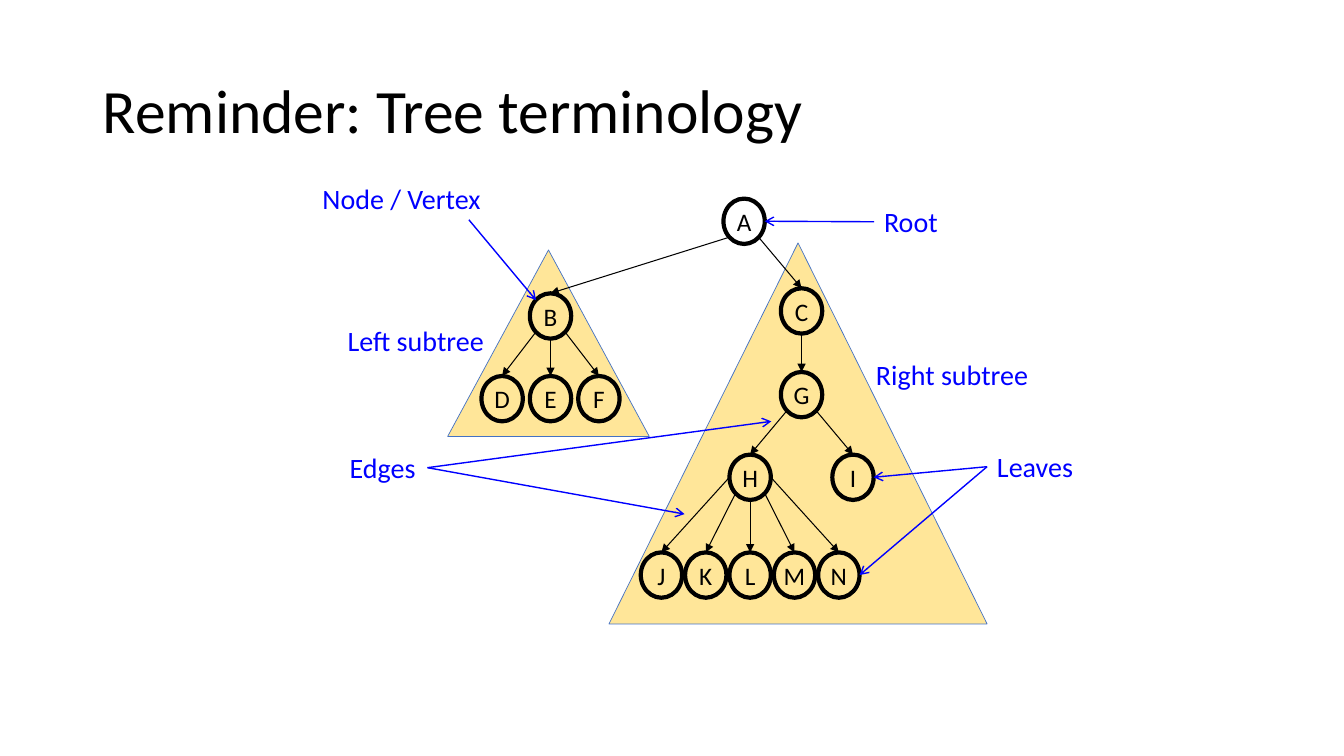
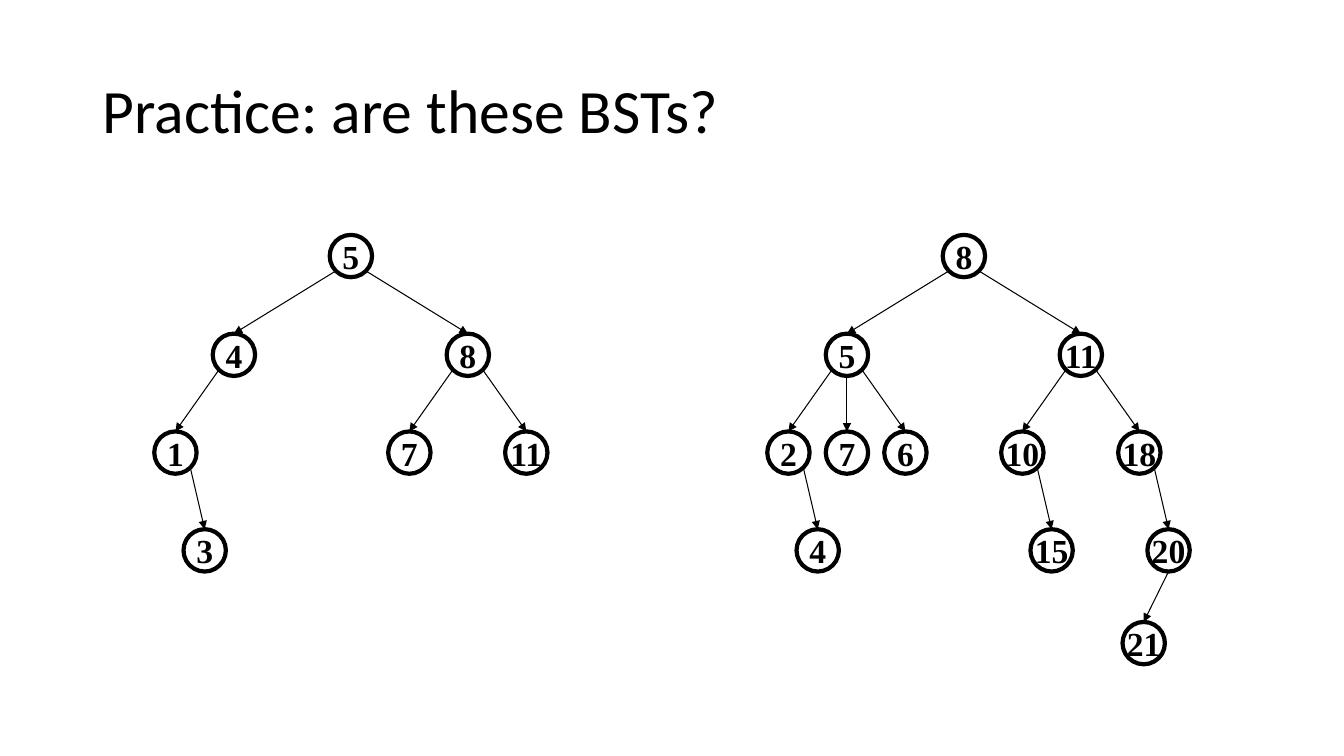
from dataclasses import dataclass

from lxml import etree
from pptx import Presentation
from pptx.dml.color import RGBColor
from pptx.enum.shapes import MSO_CONNECTOR, MSO_SHAPE
from pptx.enum.text import MSO_ANCHOR, MSO_AUTO_SIZE, PP_ALIGN
from pptx.oxml.ns import qn
from pptx.util import Inches, Pt

STRAIGHT = MSO_CONNECTOR.STRAIGHT
OVAL = MSO_SHAPE.OVAL
TRIANGLE = MSO_SHAPE.ISOSCELES_TRIANGLE
MIDDLE = MSO_ANCHOR.MIDDLE
LEFT = PP_ALIGN.LEFT
CENTER = PP_ALIGN.CENTER
NO_FIT = MSO_AUTO_SIZE.NONE
GROW = MSO_AUTO_SIZE.SHAPE_TO_FIT_TEXT

BLACK = RGBColor(0x00, 0x00, 0x00)
BLUE = RGBColor(0x00, 0x00, 0xFF)
SAND = RGBColor(0xFF, 0xE6, 0x99)
STEEL = RGBColor(0x44, 0x72, 0xC4)

TITLE_ONLY = 5
BODY_FONT = "Calibri"
LABEL_HEIGHT = 0.44
LABEL_TOP, LABEL_LEFT, LABEL_RIGHT = 0, 1, 3

# Points on a node's rim, as fractions of its width and height from the centre
SIDE_LEFT, SIDE_RIGHT, BOTTOM = (-0.5, 0), (0.5, 0), (0, 0.5)
LOWER_LEFT, LOWER_RIGHT, UPPER_LEFT = (-0.35, 0.35), (0.35, 0.35), (-0.35, -0.35)


@dataclass
class NodeStyle:
    width: float
    height: float
    font: str
    size: int
    bold: bool


LETTER_NODE = NodeStyle(0.41, 0.45, BODY_FONT, 18, False)
NUMBER_NODE = NodeStyle(0.42, 0.42, "Times New Roman", 24, True)


def format_text(text_frame, font, size, color, bold=False, align=LEFT):
    for paragraph in text_frame.paragraphs:
        paragraph.alignment = align
        for run in paragraph.runs:
            run.font.name = font
            run.font.size = Pt(size)
            run.font.bold = bold
            run.font.color.rgb = color


def add_titled_slide(presentation, text):
    slide = presentation.slides.add_slide(presentation.slide_layouts[TITLE_ONLY])
    title = slide.shapes.title
    title.left, title.top = Inches(0.92), Inches(0.4)
    title.width, title.height = Inches(11.5), Inches(1.45)
    text_frame = title.text_frame
    text_frame.text = text
    text_frame.word_wrap = True
    text_frame.auto_size = NO_FIT
    text_frame.vertical_anchor = MIDDLE
    text_frame.paragraphs[0].line_spacing = 0.9
    format_text(text_frame, BODY_FONT, 44, BLACK)
    return slide


def add_arrow(shapes, start, end, color, width, head):
    connector = shapes.add_connector(STRAIGHT, *map(Inches, start + end))
    connector.line.color.rgb = color
    connector.line.width = Pt(width)
    properties = connector.element.spPr
    etree.SubElement(properties.find(qn("a:ln")), qn("a:tailEnd"), type=head)
    etree.SubElement(properties, qn("a:effectLst"))
    return connector


def add_triangle(slide, left, top, width, height):
    triangle = slide.shapes.add_shape(
        TRIANGLE, *map(Inches, (left, top, width, height)))
    triangle.shadow.inherit = False
    triangle.fill.solid()
    triangle.fill.fore_color.rgb = SAND
    triangle.line.color.rgb = STEEL
    triangle.line.width = Pt(0.5)


def add_node(shapes, text, center_x, top, style):
    node = shapes.add_shape(
        OVAL, Inches(center_x - style.width / 2), Inches(top),
        Inches(style.width), Inches(style.height))
    node.shadow.inherit = False
    node.fill.background()
    node.line.color.rgb = BLACK
    node.line.width = Pt(3)
    text_frame = node.text_frame
    text_frame.margin_left = text_frame.margin_right = 0
    text_frame.margin_top = text_frame.margin_bottom = 0
    text_frame.text = text
    text_frame.word_wrap = False
    text_frame.vertical_anchor = MIDDLE
    format_text(text_frame, style.font, style.size, BLACK, style.bold, CENTER)
    return node


def rim_point(position, style, rim):
    """Point on the rim of the node whose top middle is at position."""
    center_x, top = position
    return (center_x + rim[0] * style.width,
            top + (0.5 + rim[1]) * style.height)


def default_rim(parent, child):
    """Rim point of the parent that faces the child below it."""
    offset = child[0] - parent[0]
    if abs(offset) < 0.05:
        return BOTTOM
    return LOWER_LEFT if offset < 0 else LOWER_RIGHT


def add_tree(slide, positions, children, style, rims):
    """Draw a tree; rims holds the edges that leave from an unusual rim point."""
    shapes = slide.shapes.add_group_shape().shapes
    nodes = {name: add_node(shapes, name, *position, style)
             for name, position in positions.items()}
    for parent, names in children.items():
        for name in names:
            start, end = positions[parent], positions[name]
            rim = rims.get((parent, name), default_rim(start, end))
            edge = add_arrow(shapes, rim_point(start, style, rim), end,
                             BLACK, 0.75, "triangle")
            edge.end_connect(nodes[name], LABEL_TOP)


def add_label(slide, text, left, top, width):
    label = slide.shapes.add_textbox(
        *map(Inches, (left, top, width, LABEL_HEIGHT)))
    text_frame = label.text_frame
    text_frame.text = text
    text_frame.word_wrap = False
    text_frame.auto_size = GROW
    format_text(text_frame, BODY_FONT, 20, BLUE)
    return label


def add_pointer(slide, start, end):
    return add_arrow(slide.shapes, start, end, BLUE, 1, "arrow")


def add_label_pointers(slide, label, side, ends):
    """Point from the middle of one side of the label to each end."""
    for end in ends:
        add_pointer(slide, end, end).begin_connect(label, side)


def build_terminology(presentation):
    slide = add_titled_slide(presentation, "Reminder: Tree terminology")
    add_triangle(slide, 6.04, 2.41, 3.75, 3.78)
    add_triangle(slide, 4.44, 2.48, 2, 1.85)

    positions = {
        "A": (7.38, 1.97), "B": (5.46, 2.91), "C": (7.95, 2.86),
        "G": (7.95, 3.69), "H": (7.44, 4.51), "I": (8.46, 4.51),
    }
    for index, name in enumerate("DEF"):
        positions[name] = (4.98 + 0.48 * index, 3.73)
    for index, name in enumerate("JKLMN"):
        positions[name] = (6.56 + 0.44 * index, 5.48)
    children = {"A": "BC", "B": "DEF", "C": "G", "G": "HI", "H": "JKLMN"}
    add_tree(slide, positions, children, LETTER_NODE,
             {("H", "J"): SIDE_LEFT, ("H", "N"): SIDE_RIGHT})

    def node_rim(name, rim):
        return rim_point(positions[name], LETTER_NODE, rim)

    add_label(slide, "Node / Vertex", 3.1, 1.75, 1.8)
    add_label(slide, "Left subtree", 3.35, 3.16, 1.57)
    add_label(slide, "Right subtree", 8.59, 3.5, 1.73)
    edges = add_label(slide, "Edges", 3.37, 4.42, 0.87)
    root = add_label(slide, "Root", 8.67, 1.98, 0.74)
    leaves = add_label(slide, "Leaves", 9.79, 4.41, 0.97)

    add_pointer(slide, (4.65, 2.18), node_rim("B", UPPER_LEFT))
    add_label_pointers(slide, edges, LABEL_RIGHT, [(6.79, 5.1), (7.65, 4.18)])
    add_label_pointers(slide, root, LABEL_LEFT, [node_rim("A", SIDE_RIGHT)])
    add_label_pointers(slide, leaves, LABEL_LEFT,
                       [node_rim(name, SIDE_RIGHT) for name in "IN"])


def add_number_tree(slide, root_x, levels, children, rims):
    """Draw a tree from levels of {number: column}, counted from the root."""
    column_width = 0.29
    row_tops = (2.33, 3.31, 4.28, 5.25, 6.17)
    positions = {name: (root_x + column * column_width, top)
                 for top, level in zip(row_tops, levels)
                 for name, column in level.items()}
    add_tree(slide, positions, children, NUMBER_NODE, rims)


def build_practice(presentation):
    slide = add_titled_slide(presentation, "Practice: are these BSTs?")
    add_number_tree(
        slide, 3.48,
        [{"5": 0}, {"4": -4, "8": 4}, {"1": -6, "7": 2, "11": 6}, {"3": -5}],
        {"5": ["4", "8"], "4": ["1"], "8": ["7", "11"], "1": ["3"]}, {})
    add_number_tree(
        slide, 9.56,
        [{"8": 0}, {"5": -4, "11": 4},
         {"2": -6, "7": -4, "6": -2, "10": 2, "18": 6},
         {"4": -5, "15": 3, "20": 7}, {"21": 6.15}],
        {"8": ["5", "11"], "5": ["2", "7", "6"], "11": ["10", "18"],
         "2": ["4"], "10": ["15"], "18": ["20"], "20": ["21"]},
        {("20", "21"): BOTTOM})


def main():
    presentation = Presentation()
    presentation.slide_width = Inches(13.33)
    presentation.slide_height = Inches(7.5)
    build_terminology(presentation)
    build_practice(presentation)
    presentation.save("out.pptx")


if __name__ == "__main__":
    main()
